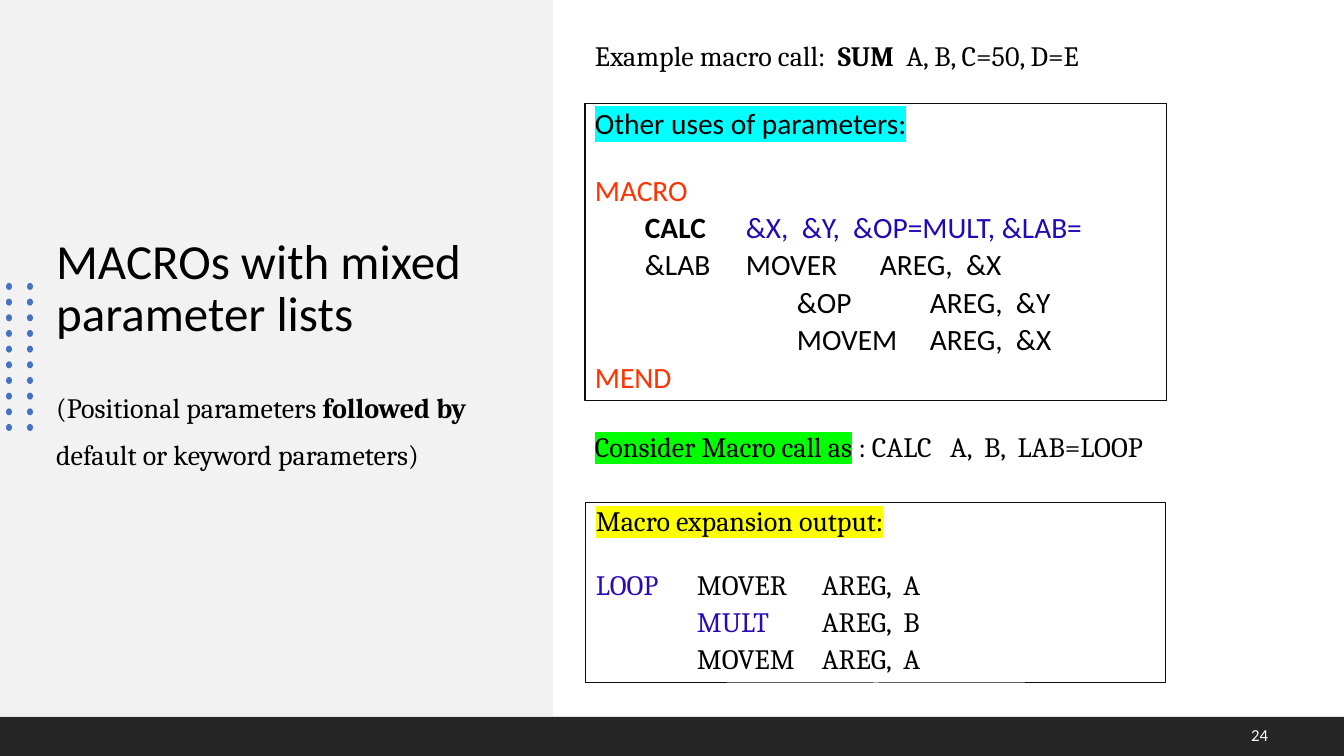
from lxml import etree
from pptx import Presentation
from pptx.dml.color import RGBColor
from pptx.enum.shapes import MSO_SHAPE as SHAPE
from pptx.enum.text import MSO_ANCHOR as ANCHOR, MSO_AUTO_SIZE as AUTO, PP_ALIGN as ALIGN
from pptx.oxml.ns import qn
from pptx.util import Pt

PX = 914400 / 100.8
BLACK = RGBColor(0x00, 0x00, 0x00)
WHITE = RGBColor(0xFF, 0xFF, 0xFF)
PANEL = RGBColor(0xF2, 0xF2, 0xF2)
FOOTER = RGBColor(0x26, 0x26, 0x26)
OUTLINE = RGBColor(0x0D, 0x0D, 0x0D)
DOT = RGBColor(0x44, 0x72, 0xC4)
RED = RGBColor(0xFF, 0x33, 0x00)
BLUE = RGBColor(0x22, 0x09, 0xB7)
INDIGO = RGBColor(0x2B, 0x0A, 0xB6)
CYAN = RGBColor(0x00, 0xFF, 0xFF)
GREEN = RGBColor(0x00, 0xFF, 0x00)
YELLOW = RGBColor(0xFF, 0xFF, 0x00)
SANS = {"name": "Calibri", "size": Pt(21)}
SERIF = {"name": "Cambria", "size": Pt(20)}


def emu(*lengths):
    return [round(n * PX) for n in lengths]


def add_rect(shapes, box, fill=None, line=None, kind=SHAPE.RECTANGLE):
    sp = shapes.add_shape(kind, *emu(*box))
    sp.shadow.inherit = False
    if fill is None:
        sp.fill.background()
    else:
        sp.fill.solid()
        sp.fill.fore_color.rgb = fill
    if line is None:
        sp.line.fill.background()
    else:
        sp.line.color.rgb = line
        sp.line.width = Pt(0.75)
    return sp


def set_frame(sp, anchor=ANCHOR.TOP):
    tf = sp.text_frame
    for key, value in {"word_wrap": True, "auto_size": AUTO.NONE,
                       "vertical_anchor": anchor}.items():
        setattr(tf, key, value)
    return tf


def add_run(p, text, font, color=BLACK, bold=False, highlight=None):
    r = p.add_run()
    r.text = text
    for key, value in {**font, "bold": bold}.items():
        setattr(r.font, key, value)
    r.font.color.rgb = color
    if highlight is not None:
        mark = etree.Element(qn("a:highlight"))
        etree.SubElement(mark, qn("a:srgbClr")).set("val", str(highlight))
        r.font.fill._xPr.find(qn("a:solidFill")).addnext(mark)


def write(tf, lines, font):
    """Fill a frame with (paragraph format, tab stops in px, runs) lines."""
    for i, (layout, stops, runs) in enumerate(lines):
        p = tf.paragraphs[0] if i == 0 else tf.add_paragraph()
        for key, value in {"alignment": ALIGN.LEFT, "line_spacing": 0.9, **layout}.items():
            setattr(p, key, value)
        if stops:
            tabs = etree.SubElement(p._p.get_or_add_pPr(), qn("a:tabLst"))
            for pos in emu(*stops):
                etree.SubElement(tabs, qn("a:tab"), pos=str(pos), algn="l")
        for text, style in runs:
            add_run(p, text, **{"font": font, **style})


def title_panel(s, box):
    x, y, w, h = box
    add_rect(s.shapes, box, PANEL)
    title = s.shapes.title
    title.left, title.top, title.width, title.height = emu(x + 46, y + 130, w - 79, 448)
    # Bring the title in front of its panel
    s.shapes._spTree.append(title._element)
    write(set_frame(title, ANCHOR.MIDDLE), [
        ({}, (), [("MACROs with mixed parameter lists", {"font": {**SANS, "size": Pt(35)}})]),
        ({"line_spacing": Pt(34), "space_before": Pt(24)}, (), [
            ("(Positional parameters ", {}),
            ("followed by ", {"bold": True}),
            ("default or keyword parameters)", {})]),
    ], SERIF)


def dot_grid(s, box, rows=10, cols=2):
    x, y, w, h = box
    dot_w, dot_h = 6, 7
    group = s.shapes.add_group_shape()
    for row in range(rows):
        for col in range(cols):
            place = (x + col * (w - dot_w) / (cols - 1),
                     y + row * (h - dot_h) / (rows - 1), dot_w, dot_h)
            add_rect(group.shapes, place, DOT, kind=SHAPE.OVAL)


def footer(s, box):
    x, y, w, h = box
    add_rect(s.shapes, box, FOOTER)
    number = s.shapes.add_textbox(*emu(x + w - 368, y, 302, h))
    write(set_frame(number, ANCHOR.MIDDLE),
          [({"alignment": ALIGN.RIGHT}, (), [("24", {"color": WHITE})])],
          {**SANS, "size": Pt(12)})


def call_line(s, box, runs):
    write(set_frame(s.shapes.add_textbox(*emu(*box))), [({}, (), runs)], SERIF)


def code_box(s, box, heading, highlight, code, font, before, gap):
    lines = [({}, (), [(heading, {"highlight": highlight})])]
    for i, (stops, runs) in enumerate(code):
        layout = {"space_before": Pt(before if i else gap), "space_after": Pt(2)}
        lines.append((layout, stops, runs))
    write(set_frame(add_rect(s.shapes, box, line=OUTLINE)), lines, font)


def main():
    prs = Presentation()
    prs.slide_width, prs.slide_height = emu(1344, 756)
    s = prs.slides.add_slide(prs.slide_layouts[5])

    title_panel(s, (0, 0, 553, 716))
    dot_grid(s, (6, 283, 27, 148))
    footer(s, (0, 717, 1344, 39))

    call_line(s, (585, 37, 672, 40), [
        ("Example macro call:  ", {}), ("SUM", {"bold": True}), ("  A, B, C=50, D=E", {})])
    code_box(s, (585, 104, 582, 297), "Other uses of parameters:", CYAN, [
        ((), [("MACRO", {"color": RED})]),
        ((50, 151), [("\tCALC\t", {"bold": True}),
                     ("&X,  &Y,  &OP=MULT, &LAB=", {"color": BLUE})]),
        ((50, 151, 285), [("\t&LAB\tMOVER\tAREG,  &X", {})]),
        ((202, 335), [("\t&OP\tAREG,  &Y", {})]),
        ((202, 335), [("\tMOVEM\tAREG,  &X", {})]),
        ((), [("MEND", {"color": RED})]),
    ], SANS, before=2, gap=25)

    call_line(s, (585, 428, 672, 40), [
        ("Consider Macro call as", {"highlight": GREEN}),
        (" : CALC   A,  B,  LAB=LOOP", {})])
    columns = (101, 226)
    code_box(s, (586, 502, 580, 181), "Macro expansion output:", YELLOW, [
        (columns, [("LOOP", {"color": INDIGO}), ("\tMOVER\tAREG,  A", {})]),
        (columns, [("\tMULT", {"color": INDIGO}), ("\tAREG,  B", {})]),
        (columns, [("\tMOVEM\tAREG,  A", {})]),
    ], SERIF, before=3, gap=24)

    prs.save("out.pptx")


if __name__ == "__main__":
    main()
